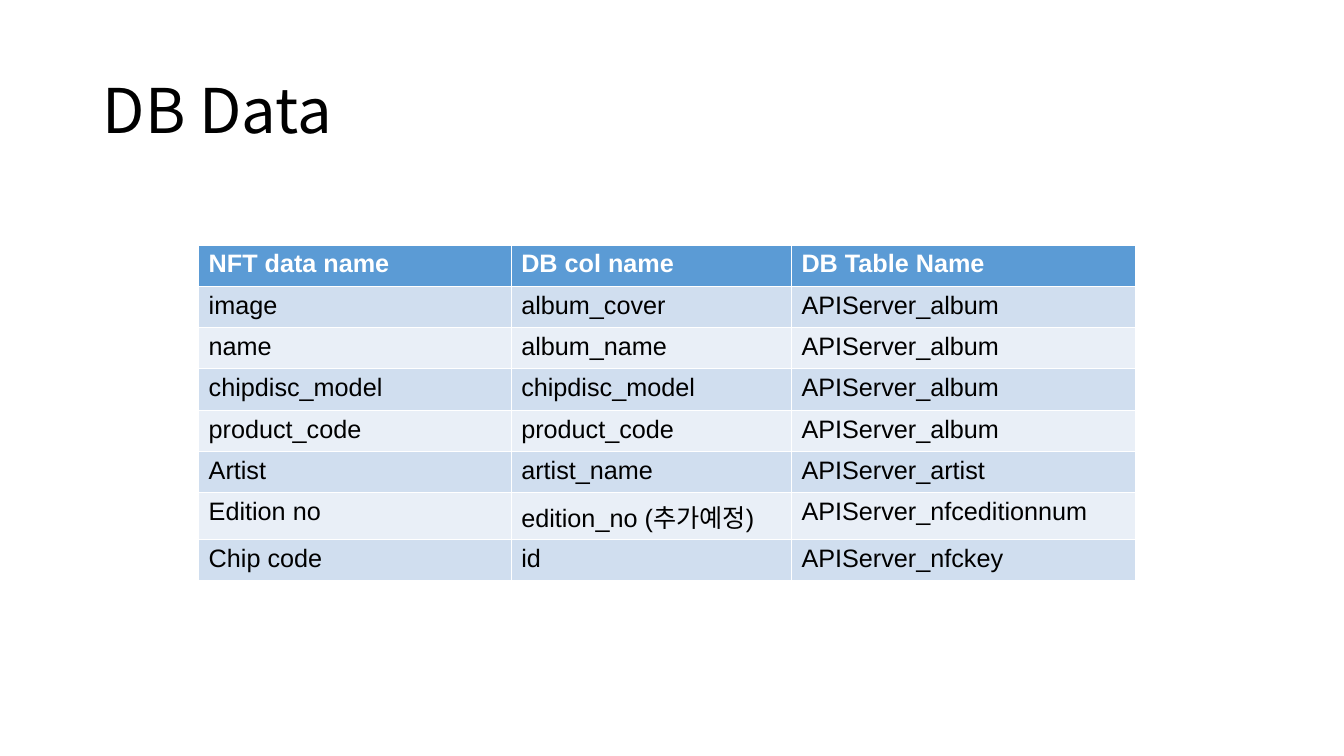
from lxml.etree import SubElement
from pptx import Presentation
from pptx.dml.color import RGBColor
from pptx.enum.text import MSO_ANCHOR, PP_ALIGN
from pptx.oxml.ns import qn
from pptx.util import Inches, Pt

COLORS = {
    "head": "5B9BD5",
    "odd": "D0DEEF",
    "even": "E9EFF7",
    "white": "FFFFFF",
    "black": "000000",
}
LATIN = "Arial"
KOREAN = "Noto Sans CJK KR"
WIDTHS = [3.1, 2.78, 3.41]
HEIGHT = 0.41
ROWS = [
    ("NFT data name", "DB col name", "DB Table Name"),
    ("image", "album_cover", "APIServer_album"),
    ("name", "album_name", "APIServer_album"),
    ("chipdisc_model", "chipdisc_model", "APIServer_album"),
    ("product_code", "product_code", "APIServer_album"),
    ("Artist", "artist_name", "APIServer_artist"),
    ("Edition no", "edition_no (추가예정)", "APIServer_nfceditionnum"),
    ("Chip code", "id", "APIServer_nfckey"),
]


def rgb(name):
    return RGBColor.from_string(COLORS[name])


def write(frame, text, size=18, font=LATIN, color="black", bold=False, space=1.0):
    para = frame.paragraphs[0]
    para.alignment = PP_ALIGN.LEFT
    para.line_spacing = space
    run = para.add_run()
    run.text = text
    run.font.size = Pt(size)
    run.font.name = font
    run.font.bold = bold
    run.font.color.rgb = rgb(color)
    # East Asian typeface for the Korean letters
    SubElement(run.font._element, qn("a:ea"), typeface=KOREAN)


def add_title(slide, text):
    title = slide.shapes.title
    title.left, title.top = Inches(0.92), Inches(0.4)
    title.width, title.height = Inches(11.5), Inches(1.45)
    title.text_frame.vertical_anchor = MSO_ANCHOR.MIDDLE
    write(title.text_frame, text, size=44, font=KOREAN, space=0.9)


def add_grid(slide, rows, left, top):
    # The default table style supplies the white cell borders
    frame = slide.shapes.add_table(
        len(rows), len(WIDTHS), Inches(left), Inches(top),
        Inches(sum(WIDTHS)), Inches(HEIGHT * len(rows)))
    table = frame.table
    for col, width in zip(table.columns, WIDTHS):
        col.width = Inches(width)
    for r, row in enumerate(rows):
        table.rows[r].height = Inches(HEIGHT)
        head = r == 0
        fill = "head" if head else ("odd" if r % 2 else "even")
        for c, text in enumerate(row):
            cell = table.cell(r, c)
            cell.fill.solid()
            cell.fill.fore_color.rgb = rgb(fill)
            write(cell.text_frame, text, bold=head,
                  color="white" if head else "black")


def main():
    deck = Presentation()
    deck.slide_width, deck.slide_height = Inches(13.33), Inches(7.5)
    slide = deck.slides.add_slide(deck.slide_layouts[5])

    # Heading
    add_title(slide, "DB Data")

    # Field mapping
    add_grid(slide, ROWS, left=1.97, top=2.43)

    deck.save("out.pptx")


if __name__ == "__main__":
    main()
